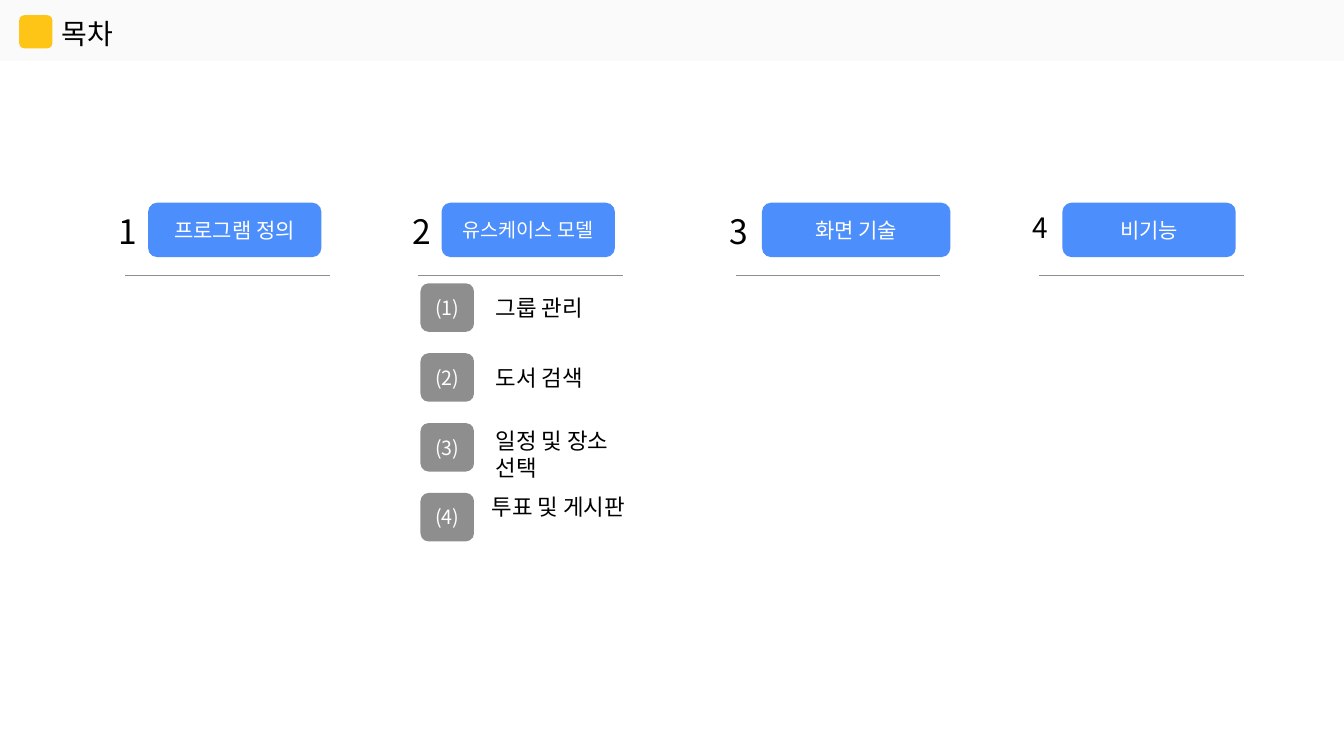
import pptx
import pptx.dml.color
import pptx.enum.shapes
import pptx.enum.text
import pptx.oxml.ns
import pptx.util
from lxml import etree

Pt = pptx.util.Pt
RGBColor = pptx.dml.color.RGBColor
MSO_SHAPE = pptx.enum.shapes.MSO_SHAPE

FONT = "Noto Sans CJK KR"
BLACK = RGBColor(0x00, 0x00, 0x00)
WHITE = RGBColor(0xFF, 0xFF, 0xFF)
BLUE = RGBColor(0x4C, 0x8E, 0xFB)
GRAY = RGBColor(0x8E, 0x8E, 0x8E)
PALE = RGBColor(0xFA, 0xFA, 0xFA)
YELLOW = RGBColor(0xFF, 0xC5, 0x16)

TITLE = "목차"
# chapter name, left of number, left of button, button width, name size, number size
CHAPTERS = [
    ("프로그램 정의", 77.8, 105.8, 123.8, 15, 24),
    ("유스케이스 모델", 287.3, 315.4, 123.8, 14, 24),
    ("화면 기술", 514.1, 544.3, 134.6, 15, 24),
    ("비기능", 730.8, 758.9, 123.8, 15, 20),
]
# topic, left, top, height of its label
TOPICS = [
    ("그룹 관리", 347, 206.6, 26.6),
    ("도서 검색", 347, 256.3, 26.6),
    ("일정 및 장소 선택", 347, 301.7, 46),
    ("투표 및 게시판", 344.2, 348.5, 46),
]
BUTTON_TOP, BUTTON_HEIGHT = 144.8, 38.9
NUMBER_TOP = 146.9
RULE_TOP, RULE_WIDTH, RULE_INDENT = 196.6, 146.2, 11.5
BADGE_LEFT, BADGE_TOP, BADGE_STEP = 300.4, 202.4, 49.9
BADGE_WIDTH, BADGE_HEIGHT = 38.2, 34.6


def write(shape, text, size, color):
    """Put one run of text into a shape and return its paragraph."""
    paragraph = shape.text_frame.paragraphs[0]
    run = paragraph.add_run()
    run.text = text
    run.font.size = Pt(size)
    run.font.name = FONT
    run.font.color.rgb = color
    east_asian = etree.SubElement(run.font._element, pptx.oxml.ns.qn("a:ea"))
    east_asian.set("typeface", FONT)
    return paragraph


def add_label(slide, text, left, top, width, height, size):
    """Add a wrapping text box with black text."""
    label = slide.shapes.add_textbox(Pt(left), Pt(top), Pt(width), Pt(height))
    label.text_frame.word_wrap = True
    write(label, text, size, BLACK)


def add_box(slide, kind, left, top, width, height, color):
    """Add a flat filled shape without outline."""
    box = slide.shapes.add_shape(kind, Pt(left), Pt(top), Pt(width), Pt(height))
    box.shadow.inherit = False
    box.fill.solid()
    box.fill.fore_color.rgb = color
    box.line.fill.background()
    return box


def add_button(slide, text, left, top, width, height, color, size):
    """Add a rounded box with centred white text."""
    button = add_box(slide, MSO_SHAPE.ROUNDED_RECTANGLE, left, top, width, height, color)
    button.text_frame.vertical_anchor = pptx.enum.text.MSO_ANCHOR.MIDDLE
    button.text_frame.word_wrap = True
    paragraph = write(button, text, size, WHITE)
    paragraph.alignment = pptx.enum.text.PP_ALIGN.CENTER


def add_rule(slide, left):
    """Add the gray line below a chapter button."""
    rule = slide.shapes.add_connector(
        pptx.enum.shapes.MSO_CONNECTOR.STRAIGHT,
        Pt(left), Pt(RULE_TOP), Pt(left + RULE_WIDTH), Pt(RULE_TOP))
    rule.line.color.rgb = GRAY
    rule.line.width = Pt(1)
    etree.SubElement(rule._element.spPr, pptx.oxml.ns.qn("a:effectLst"))


presentation = pptx.Presentation()
presentation.slide_width = Pt(960)
presentation.slide_height = Pt(540)
slide = presentation.slides.add_slide(presentation.slide_layouts[6])

add_box(slide, MSO_SHAPE.RECTANGLE, 0, 0, 960, 43.5, PALE)
add_box(slide, MSO_SHAPE.ROUNDED_RECTANGLE, 13.7, 10.8, 23.8, 23.8, YELLOW)
add_label(slide, TITLE, 36.7, 7.9, 75.6, 31.7, 20)

for number, chapter in enumerate(CHAPTERS, 1):
    name, number_left, button_left, button_width, name_size, number_size = chapter
    add_button(slide, name, button_left, BUTTON_TOP, button_width, BUTTON_HEIGHT,
               BLUE, name_size)
    add_label(slide, str(number), number_left, NUMBER_TOP, 43.2, 36, number_size)
    add_rule(slide, number_left + RULE_INDENT)

for index, (topic, left, top, height) in enumerate(TOPICS):
    add_button(slide, f"({index + 1})", BADGE_LEFT, BADGE_TOP + index * BADGE_STEP,
               BADGE_WIDTH, BADGE_HEIGHT, GRAY, 14)
    add_label(slide, topic, left, top, 111.6, height, 16)

presentation.save("out.pptx")
